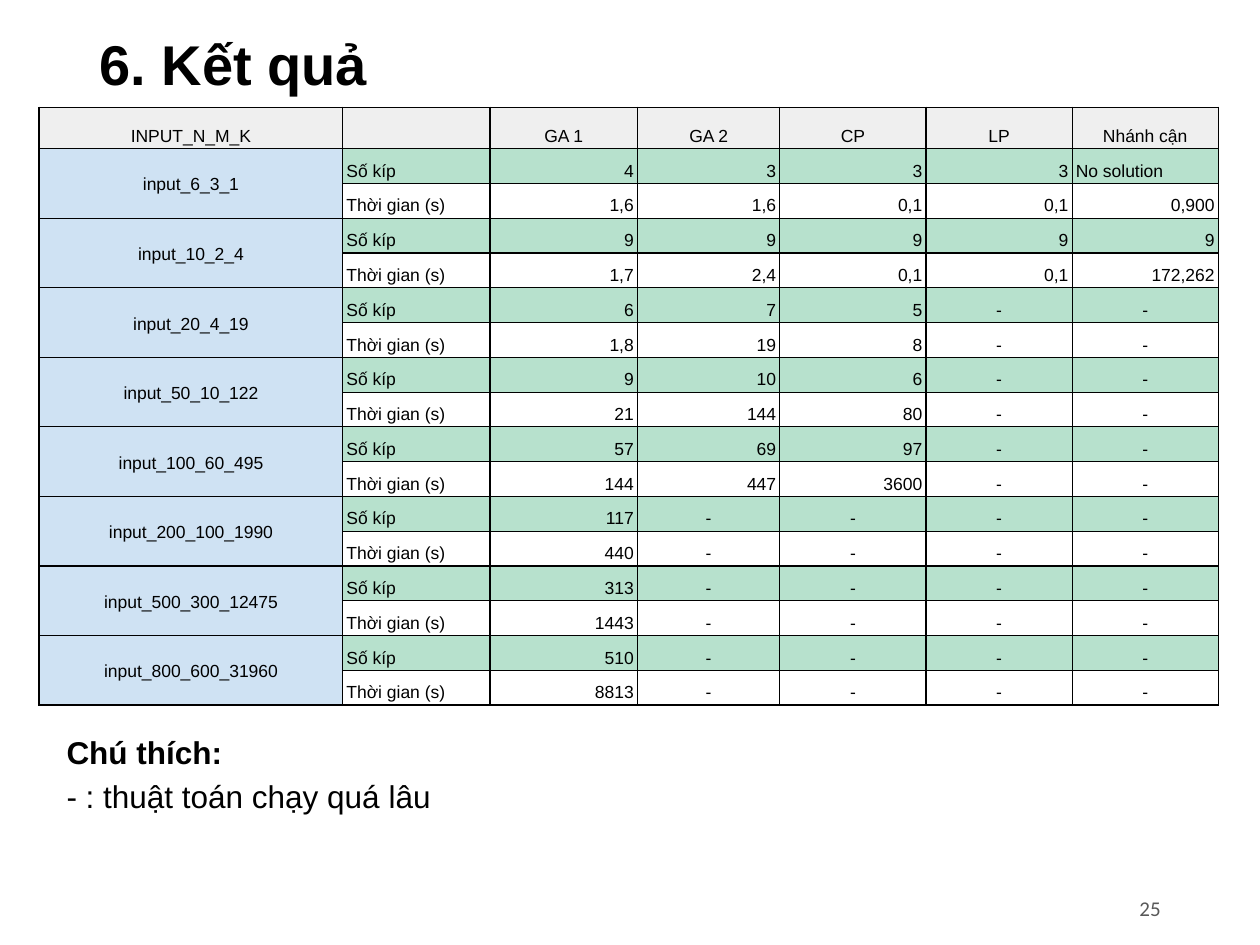
from lxml import etree
from pptx import Presentation
from pptx.dml.color import RGBColor
from pptx.enum.text import MSO_ANCHOR, PP_ALIGN
from pptx.oxml.ns import qn
from pptx.util import Inches, Pt

LEFT, CENTER, RIGHT = PP_ALIGN.LEFT, PP_ALIGN.CENTER, PP_ALIGN.RIGHT
TOP, MIDDLE, BOTTOM = MSO_ANCHOR.TOP, MSO_ANCHOR.MIDDLE, MSO_ANCHOR.BOTTOM

COLORS = {
    "text": "000000",
    "border": "000000",
    "page": "595959",
    "header": "EFEFEF",
    "input": "CFE2F3",
    "shifts": "B7E1CD",
    "time": "FFFFFF",
}

# Content
TITLE = "6. Kết quả"
NOTES = ["Chú thích:", "- : thuật toán chạy quá lâu"]
PAGE_NUMBER = "25"
HEADER = ["INPUT_N_M_K", "", "GA 1", "GA 2", "CP", "LP", "Nhánh cận"]
MEASURES = [("Số kíp", "shifts"), ("Thời gian (s)", "time")]
NO_SOLUTION = "No solution"
# Input name, then the values of each measure for every algorithm
RESULTS = [
    ("input_6_3_1", ["4", "3", "3", "3", NO_SOLUTION], ["1,6", "1,6", "0,1", "0,1", "0,900"]),
    ("input_10_2_4", ["9", "9", "9", "9", "9"], ["1,7", "2,4", "0,1", "0,1", "172,262"]),
    ("input_20_4_19", ["6", "7", "5", "-", "-"], ["1,8", "19", "8", "-", "-"]),
    ("input_50_10_122", ["9", "10", "6", "-", "-"], ["21", "144", "80", "-", "-"]),
    ("input_100_60_495", ["57", "69", "97", "-", "-"], ["144", "447", "3600", "-", "-"]),
    ("input_200_100_1990", ["117", "-", "-", "-", "-"], ["440", "-", "-", "-", "-"]),
    ("input_500_300_12475", ["313", "-", "-", "-", "-"], ["1443", "-", "-", "-", "-"]),
    ("input_800_600_31960", ["510", "-", "-", "-", "-"], ["8813", "-", "-", "-", "-"]),
]
ALIGNMENTS = {"-": CENTER, NO_SOLUTION: LEFT}

# Table geometry
TABLE_LEFT, TABLE_TOP, TABLE_HEIGHT = 0.31, 0.85, 4.75
HEADER_HEIGHT = 0.33
COLUMN_WIDTHS = [2.41, 1.17, 1.17, 1.13, 1.16, 1.16, 1.16]
CELL_SIZE = 10


def style_paragraph(paragraph, size, alignment=LEFT, spacing=1.0, bold=False,
                    font="Arial", color="text"):
    paragraph.alignment = alignment
    paragraph.line_spacing = spacing
    for run in paragraph.runs:
        run.font.size = Pt(size)
        run.font.name = font
        run.font.bold = bold
        run.font.color.rgb = RGBColor.from_string(COLORS[color])


def place(shape, left, top, width, height):
    shape.left, shape.top = Inches(left), Inches(top)
    shape.width, shape.height = Inches(width), Inches(height)


def add_text_box(slide, box, text, anchor):
    text_frame = slide.shapes.add_textbox(*map(Inches, box)).text_frame
    text_frame.word_wrap = True
    text_frame.vertical_anchor = anchor
    text_frame.text = text
    return text_frame.paragraphs


def add_borders(cell):
    properties = cell._tc.get_or_add_tcPr()
    for position, side in enumerate(("lnL", "lnR", "lnT", "lnB")):
        line = etree.Element(qn(f"a:{side}"), w=str(Pt(0.75)))
        fill = etree.SubElement(line, qn("a:solidFill"))
        etree.SubElement(fill, qn("a:srgbClr"), val=COLORS["border"])
        properties.insert(position, line)


def fill_cell(cell, text, fill, alignment, anchor=BOTTOM):
    cell.text = text
    cell.vertical_anchor = anchor
    cell.margin_left = cell.margin_right = Inches(0.03)
    cell.margin_top = cell.margin_bottom = Inches(0.02)
    cell.fill.solid()
    cell.fill.fore_color.rgb = RGBColor.from_string(COLORS[fill])
    add_borders(cell)
    paragraph = cell.text_frame.paragraphs[0]
    style_paragraph(paragraph, CELL_SIZE, alignment, 1.15)
    if not text:  # keeps an empty cell from stretching its row
        etree.SubElement(paragraph._p, qn("a:endParaRPr"), sz=str(CELL_SIZE * 100))


def add_results_table(slide):
    row_count = 1 + len(RESULTS) * len(MEASURES)
    table = slide.shapes.add_table(
        row_count, len(HEADER), Inches(TABLE_LEFT), Inches(TABLE_TOP),
        Inches(sum(COLUMN_WIDTHS)), Inches(TABLE_HEIGHT)).table
    for column, width in zip(table.columns, COLUMN_WIDTHS):
        column.width = Inches(width)
    body_height = (TABLE_HEIGHT - HEADER_HEIGHT) / (row_count - 1)
    for index, row in enumerate(table.rows):
        row.height = Inches(body_height if index else HEADER_HEIGHT)

    for column, label in enumerate(HEADER):
        fill_cell(table.cell(0, column), label, "header", CENTER)

    for group, (name, *measured) in enumerate(RESULTS):
        first_row = 1 + group * len(MEASURES)
        for offset, ((label, fill), values) in enumerate(zip(MEASURES, measured)):
            row = first_row + offset
            fill_cell(table.cell(row, 0), "" if offset else name, "input", CENTER, MIDDLE)
            fill_cell(table.cell(row, 1), label, fill, LEFT)
            for column, value in enumerate(values, start=2):
                fill_cell(table.cell(row, column), value, fill, ALIGNMENTS.get(value, RIGHT))
        table.cell(first_row, 0).merge(table.cell(first_row + len(MEASURES) - 1, 0))


def main():
    presentation = Presentation()
    presentation.slide_width, presentation.slide_height = Inches(10), Inches(7.5)
    slide = presentation.slides.add_slide(presentation.slide_layouts[5])

    # Title
    title = slide.shapes.title
    place(title, 0.69, 0.13, 8.62, 0.81)
    title.text_frame.text = TITLE
    title.text_frame.vertical_anchor = MIDDLE
    style_paragraph(title.text_frame.paragraphs[0], 32, spacing=0.9, bold=True)

    # Legend below the table
    paragraphs = add_text_box(slide, (0.43, 5.8, 9.37, 0.81), "\n".join(NOTES), TOP)
    for index, paragraph in enumerate(paragraphs):
        style_paragraph(paragraph, 18, spacing=0.9, bold=index == 0)
        paragraph.space_before = Pt(6 if index else 0)

    # Page number
    paragraphs = add_text_box(slide, (8.06, 7.01, 1.25, 0.4), PAGE_NUMBER, MIDDLE)
    style_paragraph(paragraphs[0], 12, RIGHT, font="Calibri", color="page")

    add_results_table(slide)
    presentation.save("out.pptx")


if __name__ == "__main__":
    main()
